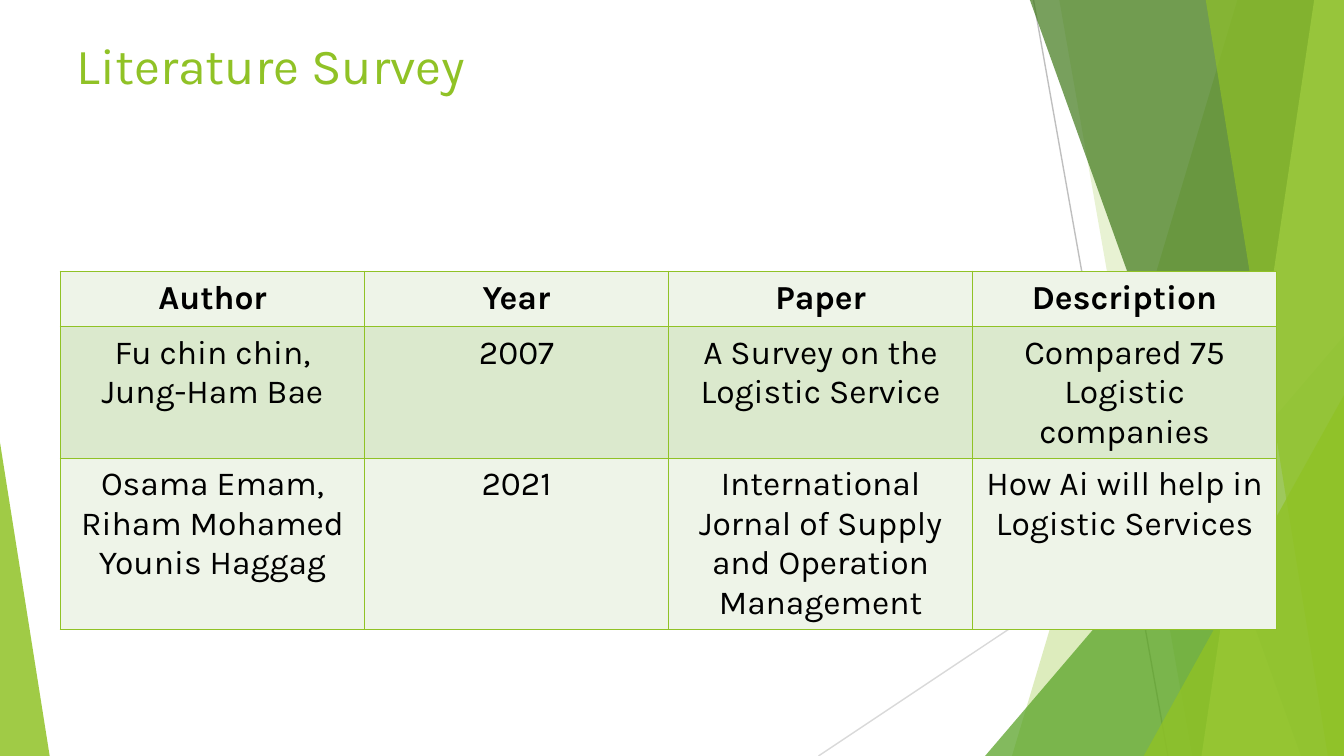
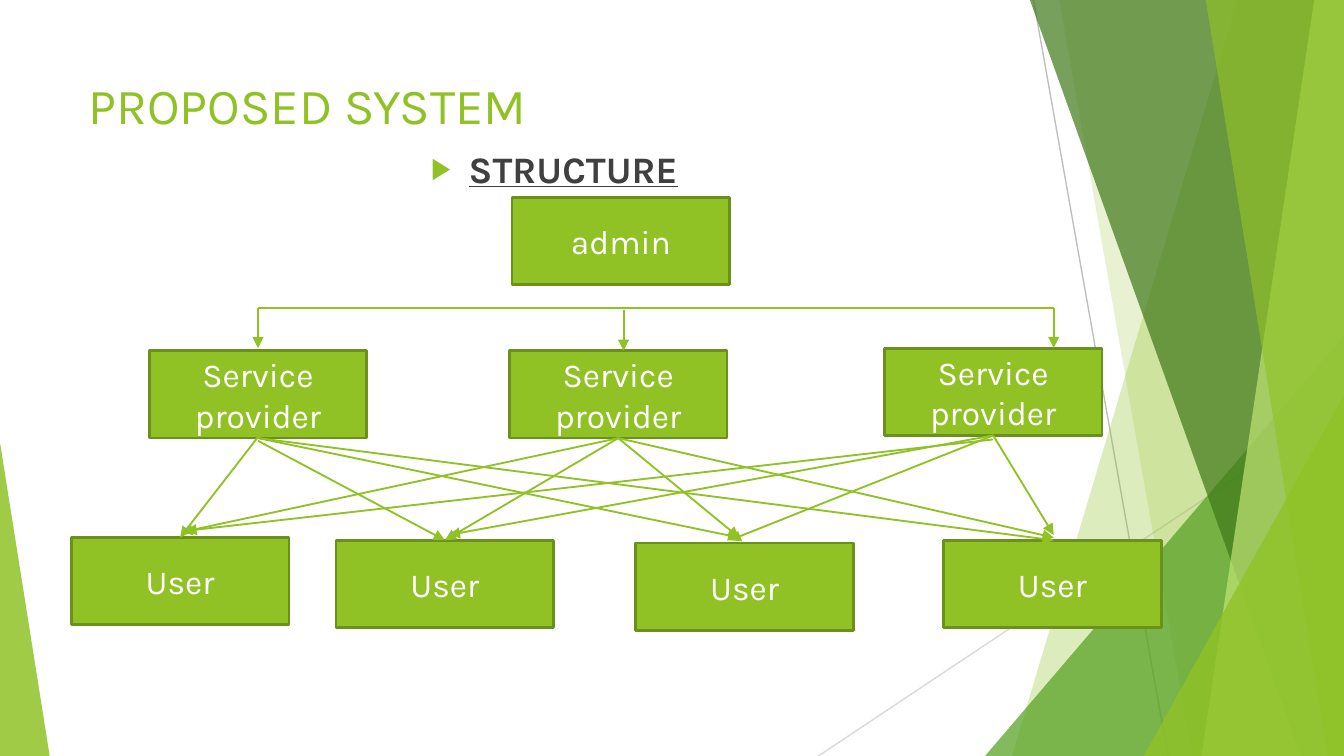
from dataclasses import dataclass
from lxml.etree import SubElement
from pptx import Presentation
from pptx.dml.color import RGBColor
from pptx.enum.shapes import MSO_CONNECTOR, MSO_SHAPE
from pptx.enum.text import MSO_ANCHOR, MSO_AUTO_SIZE, PP_ALIGN
from pptx.oxml.ns import qn
from pptx.util import Inches, Pt

LIME = RGBColor(0x90, 0xC2, 0x26)
GREEN = RGBColor(0x54, 0xA0, 0x21)
FOREST = RGBColor(0x3F, 0x78, 0x19)
PALE = RGBColor(0xC0, 0xE4, 0x74)
OLIVE = RGBColor(0x6B, 0x90, 0x1C)
MINT = RGBColor(0xEE, 0xF4, 0xE8)
SAGE = RGBColor(0xDB, 0xE9, 0xCD)
SILVER = RGBColor(0xBF, 0xBF, 0xBF)
MIST = RGBColor(0xD9, 0xD9, 0xD9)
DARK = RGBColor(0x40, 0x40, 0x40)
BLACK = RGBColor(0, 0, 0)
WHITE = RGBColor(0xFF, 0xFF, 0xFF)
FONT = "Karla"
WIDE = 10
HIGH = WIDE * 9 / 16
TOP = -0.01
BOX_W, BOX_H = 1.62, 0.65


@dataclass(frozen=True)
class Band:
    """A strip that runs from its slanted left side to the slide's right edge."""
    top: float
    base: float
    color: RGBColor
    alpha: int


@dataclass(frozen=True)
class Wedge:
    """A right triangle standing on the slide's bottom edge."""
    left: float
    top: float
    width: float
    peak: float
    color: RGBColor
    alpha: int


@dataclass(frozen=True)
class Node:
    """A labelled box of the structure diagram."""
    left: float
    top: float
    label: str


DECOR = (
    Band(9.21, 7.53, LIME, 30),
    Band(7.88, 8.87, LIME, 20),
    Wedge(7.33, 2.5, 2.67, 1, GREEN, 72),
    Band(7.66, 9.68, FOREST, 70),
    Band(9.78, 8.94, PALE, 70),
    Band(8.97, 9.88, LIME, 65),
    Wedge(8.51, 2.94, 1.49, 1, LIME, 80),
    Wedge(0, 3.29, 0.37, 0, LIME, 85),
)

SURVEY = (
    ("Author", "Year", "Paper", "Description"),
    ("Fu chin chin, Jung-Ham Bae", "2007",
     "A Survey on the Logistic Service", "Compared 75 Logistic companies"),
    ("Osama Emam, Riham Mohamed Younis Haggag", "2021",
     "International Jornal of Supply and Operation Management",
     "How Ai will help in Logistic Services"),
)

NODES = (
    *(Node(x, y, "Service provider")
      for x, y in ((1.11, 2.61), (6.58, 2.59), (3.79, 2.61))),
    *(Node(x, y, "User")
      for x, y in ((2.5, 4.02), (0.53, 4), (7.02, 4.02), (4.73, 4.04))),
    Node(3.81, 1.47, "admin"),
)

BUS_Y = 2.29
DROPS = ((1.92, BUS_Y), (4.64, 2.31), (7.84, BUS_Y))

# Each provider's links: where they start and where they end
LINKS = (
    ((1.96, 3.2), ((1.34, 4),)),
    ((1.92, 3.28), ((3.31, 4.02),)),
    ((1.92, 3.26), ((5.5, 4), (7.84, 4.02))),
    ((4.6, 3.26), ((5.5, 4), (1.35, 3.96), (3.31, 4.02), (7.84, 4))),
    ((7.39, 3.24), ((7.84, 3.98), (5.43, 4.02), (3.34, 3.98))),
    ((7.39, 3.27), ((1.38, 3.95),)),
)


def style(para, size: float, color: RGBColor, bold: bool = False,
          align=PP_ALIGN.CENTER) -> None:
    """Format a paragraph and its runs."""
    para.alignment = align
    for run in para.runs:
        run.font.name = FONT
        run.font.size = Pt(size)
        run.font.bold = bold
        run.font.color.rgb = color


def paint(shape, color: RGBColor, alpha: int) -> None:
    """Give a shape a see-through fill, with no line and no shadow."""
    shape.shadow.inherit = False
    shape.fill.solid()
    shape.fill.fore_color.rgb = color
    shape.line.fill.background()
    tint = shape.element.spPr.find(f"{qn('a:solidFill')}/{qn('a:srgbClr')}")
    SubElement(tint, qn("a:alpha"), val=str(alpha * 1000))


def line(slide, start: tuple, end: tuple, color: RGBColor = LIME,
         width: float = 1, arrow: bool = False) -> None:
    """Draw a straight line, with an arrowhead at its end if asked."""
    link = slide.shapes.add_connector(
        MSO_CONNECTOR.STRAIGHT, *map(Inches, (*start, *end)))
    link.line.color.rgb = color
    link.line.width = Pt(width)
    props = link.element.spPr
    if arrow:
        SubElement(props.find(qn("a:ln")), qn("a:tailEnd"), type="triangle")
    SubElement(props, qn("a:effectLst"))


def draw_band(slide, band: Band) -> None:
    """Draw one slanted strip."""
    points = [(Inches(x), Inches(y)) for x, y in (
        (band.top, TOP), (WIDE, TOP), (WIDE, HIGH), (band.base, HIGH))]
    form = slide.shapes.build_freeform(*points[0], scale=1.0)
    form.add_line_segments(points[1:], close=True)
    paint(form.convert_to_shape(), band.color, band.alpha)


def draw_wedge(slide, wedge: Wedge) -> None:
    """Draw one corner triangle."""
    shape = slide.shapes.add_shape(
        MSO_SHAPE.ISOSCELES_TRIANGLE, Inches(wedge.left), Inches(wedge.top),
        Inches(wedge.width), Inches(HIGH - wedge.top))
    shape.adjustments[0] = wedge.peak
    paint(shape, wedge.color, wedge.alpha)


def add_slide(deck, text: str, place: tuple):
    """Add a slide with the shared decor and a title at the given place."""
    slide = deck.slides.add_slide(deck.slide_layouts[5])
    line(slide, (7.69, 0), (8.69, HIGH), SILVER, 0.75)
    line(slide, (WIDE, 3.02), (6.09, HIGH), MIST, 0.75)
    for part in DECOR:
        if isinstance(part, Band):
            draw_band(slide, part)
        else:
            draw_wedge(slide, part)
    title = slide.shapes.title
    title.left, title.top, title.width, title.height = map(Inches, place)
    frame = title.text_frame
    frame.text = text
    frame.auto_size = MSO_AUTO_SIZE.NONE
    frame.vertical_anchor = MSO_ANCHOR.TOP
    style(frame.paragraphs[0], 27, LIME, align=PP_ALIGN.LEFT)
    slide.shapes.element.append(title.element)  # bring in front of the decor
    return slide


def edge(cell) -> None:
    """Draw the four borders of a cell."""
    props = cell._tc.get_or_add_tcPr()
    for spot, side in enumerate(("lnL", "lnR", "lnT", "lnB")):
        rule = SubElement(props, qn(f"a:{side}"), w=str(Pt(1)))
        fill = SubElement(rule, qn("a:solidFill"))
        SubElement(fill, qn("a:srgbClr"), val=str(LIME))
        props.insert(spot, rule)


def draw_table(slide) -> None:
    """Draw the table of surveyed papers."""
    rows, cols = len(SURVEY), len(SURVEY[0])
    table = slide.shapes.add_table(
        rows, cols, Inches(0.45), Inches(2.02),
        Inches(9.05), Inches(0.41 * rows)).table
    for r, texts in enumerate(SURVEY):
        for c, text in enumerate(texts):
            cell = table.cell(r, c)
            cell.text_frame.text = text
            style(cell.text_frame.paragraphs[0], 18, BLACK, bold=r == 0)
            cell.fill.solid()
            cell.fill.fore_color.rgb = SAGE if r % 2 else MINT
            edge(cell)


def draw_head(slide) -> None:
    """Write the bulleted heading of the diagram."""
    box = slide.shapes.add_textbox(*map(Inches, (0.6, 1.04, 7.05, 3.18)))
    frame = box.text_frame
    frame.word_wrap = True
    frame.text = "STRUCTURE"
    para = frame.paragraphs[0]
    style(para, 20, DARK, bold=True)
    para.runs[0].font.underline = True
    para.space_before = Pt(7.5)
    props = para._p.get_or_add_pPr()
    props.set("marL", str(Inches(0.28)))
    props.set("indent", str(Inches(-0.28)))
    tint = SubElement(props, qn("a:buClr"))
    SubElement(tint, qn("a:srgbClr"), val=str(LIME))
    SubElement(props, qn("a:buSzPct"), val="80000")
    SubElement(props, qn("a:buFont"), typeface=FONT)
    SubElement(props, qn("a:buChar"), char="▶")


def draw_node(slide, node: Node) -> None:
    """Draw one labelled box."""
    box = slide.shapes.add_shape(
        MSO_SHAPE.RECTANGLE,
        *map(Inches, (node.left, node.top, BOX_W, BOX_H)))
    box.shadow.inherit = False
    box.fill.solid()
    box.fill.fore_color.rgb = LIME
    box.line.color.rgb = OLIVE
    box.line.width = Pt(1.5)
    frame = box.text_frame
    frame.text = node.label
    frame.word_wrap = True
    frame.vertical_anchor = MSO_ANCHOR.MIDDLE
    style(frame.paragraphs[0], 18, WHITE)


def draw_chart(slide) -> None:
    """Draw the boxes of the system and the links between them."""
    for node in NODES:
        draw_node(slide, node)
    line(slide, DROPS[0], DROPS[-1])
    for x, y in DROPS:
        line(slide, (x, y), (x, y + 0.3), arrow=True)
    for start, ends in LINKS:
        for end in ends:
            line(slide, start, end, arrow=True)


def main() -> None:
    """Build and save the deck."""
    deck = Presentation()
    deck.slide_width, deck.slide_height = Inches(WIDE), Inches(HIGH)
    draw_table(add_slide(deck, "Literature Survey", (0.47, 0.2, 9.03, 0.84)))
    system = add_slide(deck, "PROPOSED SYSTEM", (0.56, 0.5, 7.05, 1.08))
    draw_head(system)
    draw_chart(system)
    deck.save("out.pptx")


main()
